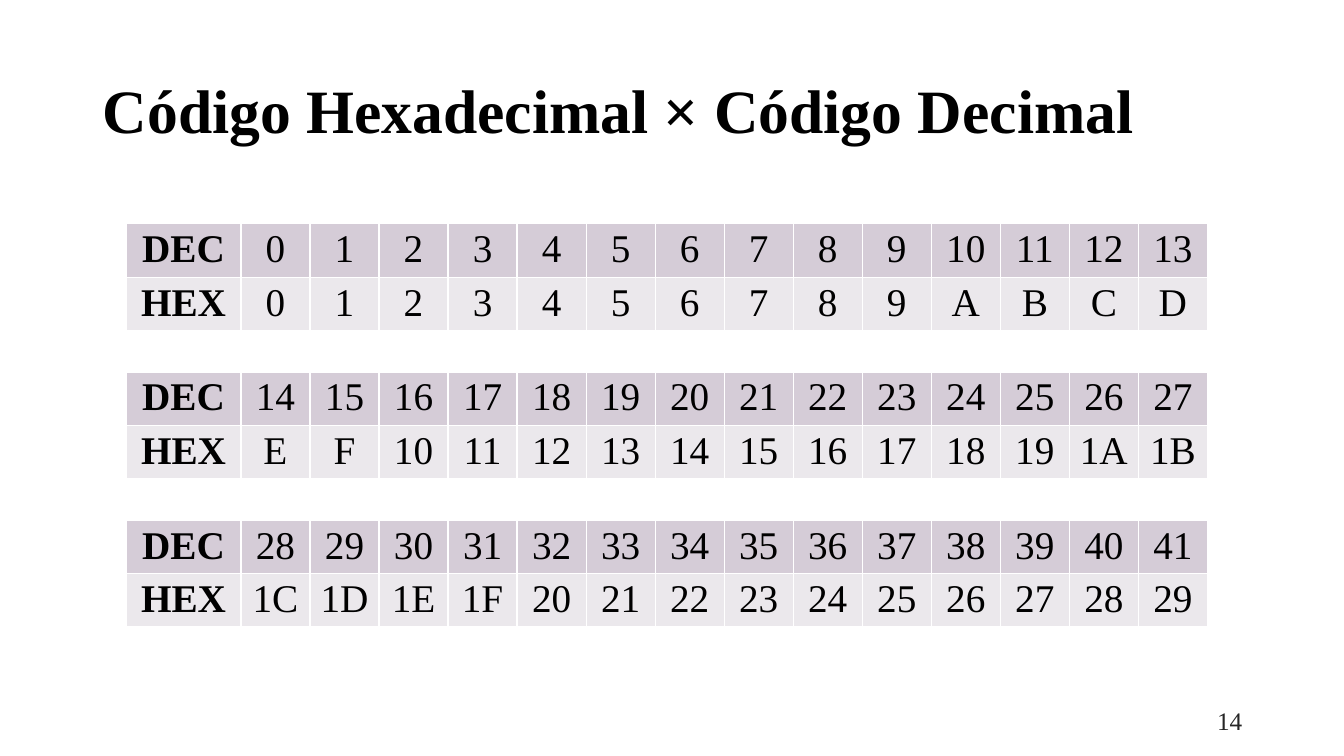
from pptx import Presentation
from pptx.dml.color import RGBColor
from pptx.enum import text as t
from pptx.util import Inches, Pt

FACE = "Times New Roman"
BLACK = RGBColor(0x00, 0x00, 0x00)
GREY = RGBColor(0x26, 0x26, 0x26)
MAUVE = RGBColor(0xD5, 0xCC, 0xD7)
PALE = RGBColor(0xEB, 0xE8, 0xEC)
SPAN = 14
BLOCKS = 3


def put(frame, words, size, color, align, bold=False):
    """Write one formatted paragraph into a text frame."""
    para = frame.paragraphs[0]
    para.text = words
    para.alignment = align
    font = para.runs[0].font
    font.color.rgb = color
    for key, value in {"name": FACE, "size": Pt(size), "bold": bold}.items():
        setattr(font, key, value)
    return para


def place(shape, left, top, width, height):
    """Move a shape and centre its text vertically."""
    box = {"left": left, "top": top, "width": width, "height": height}
    for key, value in box.items():
        setattr(shape, key, Inches(value))
    shape.text_frame.word_wrap = True
    shape.text_frame.vertical_anchor = t.MSO_ANCHOR.MIDDLE


def add_title(slide, words):
    """Fill the title placeholder."""
    title = slide.shapes.title
    place(title, 0.92, 0.4, 11.5, 1.45)
    para = put(title.text_frame, words, 44, BLACK, t.PP_ALIGN.LEFT, True)
    para.line_spacing = 0.9


def add_number(slide, number):
    """Add the page number at the lower right."""
    box = slide.shapes.add_textbox(0, 0, 0, 0)
    place(box, 9.42, 6.95, 3, 0.4)
    put(box.text_frame, number, 18, GREY, t.PP_ALIGN.RIGHT)


def make_rows():
    """List the decimal and hexadecimal rows, with a gap between blocks."""
    rows = []
    for block in range(BLOCKS):
        codes = range(block * SPAN, (block + 1) * SPAN)
        if block:
            rows.append([""] * (SPAN + 1))
        rows.append(["DEC"] + [str(n) for n in codes])
        rows.append(["HEX"] + [f"{n:X}" for n in codes])
    return rows


def fill_cell(cell, words, color, bold):
    """Format one table cell; an empty one stays clear."""
    cell.margin_top = cell.margin_bottom = Inches(0.04)
    cell.margin_left = cell.margin_right = Inches(0.05)
    if not words:
        cell.fill.background()
        return
    cell.fill.solid()
    cell.fill.fore_color.rgb = color
    put(cell.text_frame, words, 28, BLACK, t.PP_ALIGN.CENTER, bold)


def add_codes(slide, rows):
    """Add the conversion table."""
    high = [0.53 if row[0] else 0.41 for row in rows]
    wide = [1.14] + [0.685] * SPAN
    frame = slide.shapes.add_table(
        len(rows), len(wide), Inches(1.25), Inches(2.22),
        Inches(sum(wide)), Inches(sum(high)))
    table = frame.table
    table.horz_banding = False
    for col, width in zip(table.columns, wide):
        col.width = Inches(width)
    for r, row in enumerate(rows):
        table.rows[r].height = Inches(high[r])
        color = MAUVE if row[0] == "DEC" else PALE
        for c, words in enumerate(row):
            fill_cell(table.cell(r, c), words, color, c == 0)


def main():
    """Build and save the slide."""
    deck = Presentation()
    deck.slide_width, deck.slide_height = Inches(13.33), Inches(7.5)
    slide = deck.slides.add_slide(deck.slide_layouts[5])
    add_title(slide, "Código Hexadecimal × Código Decimal")
    add_codes(slide, make_rows())
    add_number(slide, "14")
    deck.save("out.pptx")


if __name__ == "__main__":
    main()
